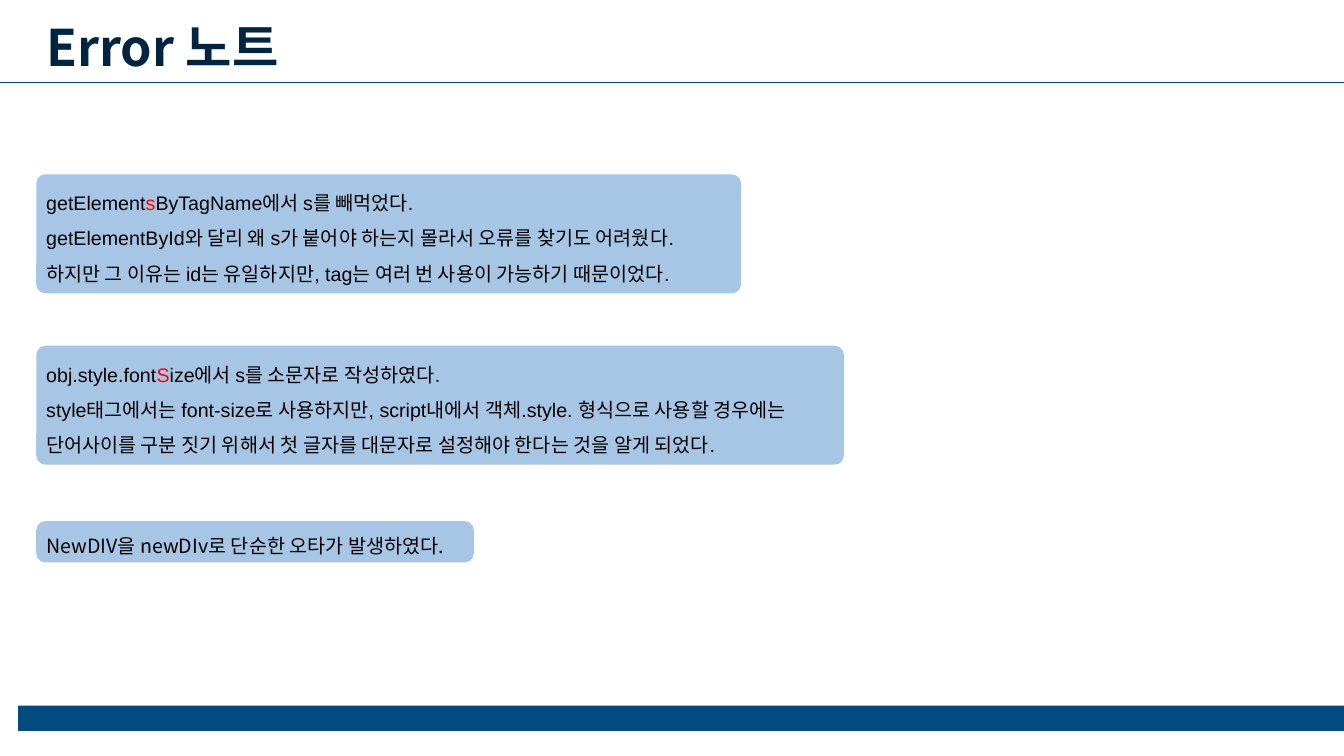
import pptx
import pptx.util
import pptx.dml.color
import pptx.enum.shapes
import pptx.enum.text
import pptx.oxml.ns
import lxml.etree

Inches = pptx.util.Inches
KOREAN = "Noto Sans CJK KR"
NAVY, BLUE, PALE, RED, BLACK = "012540", "024B80", "A7C6E5", "FF0000", "000000"
MARGIN = 0.36
CORNER = 0.09

# Each note: card box, text box, Latin font, paragraphs of (text, colour) parts
NOTES = [
    ((MARGIN, 1.73, 6.99, 1.18), (MARGIN, 1.73, 7.22, 1.12), "Arial", [
        [("getElement", BLACK), ("s", RED), ("ByTagName에서 s를 빼먹었다.", BLACK)],
        [("getElementById와 달리 왜 s가 붙어야 하는지 몰라서 오류를 찾기도 어려웠다.", BLACK)],
        [("하지만 그 이유는 id는 유일하지만, tag는 여러 번 사용이 가능하기 때문이었다.", BLACK)],
    ]),
    ((MARGIN, 3.43, 8.01, 1.18), (MARGIN, 3.43, 8.01, 1.12), "Arial", [
        [("obj.style.font", BLACK), ("S", RED), ("ize에서 s를 소문자로 작성하였다.", BLACK)],
        [("style태그에서는 font-size로 사용하지만, script내에서 객체.style. 형식으로 "
          "사용할 경우에는 단어사이를 구분 짓기 위해서 첫 글자를 대문자로 설정해야 "
          "한다는 것을 알게 되었다.", BLACK)],
    ]),
    ((MARGIN, 5.17, 4.34, 0.41), (MARGIN, 5.13, 4.44, 0.41), KOREAN, [
        [("NewDIV을 newDIv로 단순한 오타가 발생하였다.", BLACK)],
    ]),
]


def rgb(value):
    return pptx.dml.color.RGBColor.from_string(value)


def format_run(run, size, color, font, bold=False):
    run.font.size = pptx.util.Pt(size)
    run.font.bold = bold
    run.font.color.rgb = rgb(color)
    run.font.name = font
    east_asian = lxml.etree.SubElement(run.font._element, pptx.oxml.ns.qn("a:ea"))
    east_asian.set("typeface", KOREAN)


def add_block(slide, kind, box, fill):
    block = slide.shapes.add_shape(kind, *map(Inches, box))
    block.shadow.inherit = False
    block.fill.solid()
    block.fill.fore_color.rgb = rgb(fill)
    block.line.fill.background()
    return block


def add_header(slide, left, top, width, height):
    # Title
    title = slide.shapes.title
    title.left, title.top = Inches(left), Inches(top)
    title.width, title.height = Inches(width), Inches(height)
    frame = title.text_frame
    frame.text = "Error 노트"
    frame.auto_size = pptx.enum.text.MSO_AUTO_SIZE.NONE
    frame.vertical_anchor = pptx.enum.text.MSO_ANCHOR.TOP
    heading = frame.paragraphs[0]
    heading.alignment = pptx.enum.text.PP_ALIGN.LEFT
    format_run(heading.runs[0], 36, NAVY, KOREAN, bold=True)

    # Rule under the title
    rule_y = Inches(top + height)
    rule = slide.shapes.add_connector(
        pptx.enum.shapes.MSO_CONNECTOR.STRAIGHT, 0, rule_y, Inches(13.33), rule_y)
    rule.line.color.rgb = rgb(BLUE)
    rule.line.width = pptx.util.Pt(0.5)
    lxml.etree.SubElement(rule._element.spPr, pptx.oxml.ns.qn("a:effectLst"))


def add_note(slide, card_box, text_box, font, paragraphs):
    # Card
    card = add_block(slide, pptx.enum.shapes.MSO_SHAPE.ROUNDED_RECTANGLE, card_box, PALE)
    card.adjustments[0] = CORNER / card_box[3]

    # Text on the card
    note = slide.shapes.add_textbox(*map(Inches, text_box)).text_frame
    note.word_wrap = True
    for index, parts in enumerate(paragraphs):
        paragraph = note.paragraphs[0] if index == 0 else note.add_paragraph()
        paragraph.line_spacing = 1.5
        for text, color in parts:
            run = paragraph.add_run()
            run.text = text
            format_run(run, 14, color, font)


def add_footer(slide, box):
    add_block(slide, pptx.enum.shapes.MSO_SHAPE.RECTANGLE, box, BLUE)


def main():
    deck = pptx.Presentation()
    deck.slide_width, deck.slide_height = Inches(13.33), Inches(7.5)
    slide = deck.slides.add_slide(deck.slide_layouts[5])
    add_footer(slide, (0.18, 7, 13.15, 0.25))
    add_header(slide, MARGIN, 0.11, 6.99, 0.71)
    for note in NOTES:
        add_note(slide, *note)
    deck.save("out.pptx")


if __name__ == "__main__":
    main()
